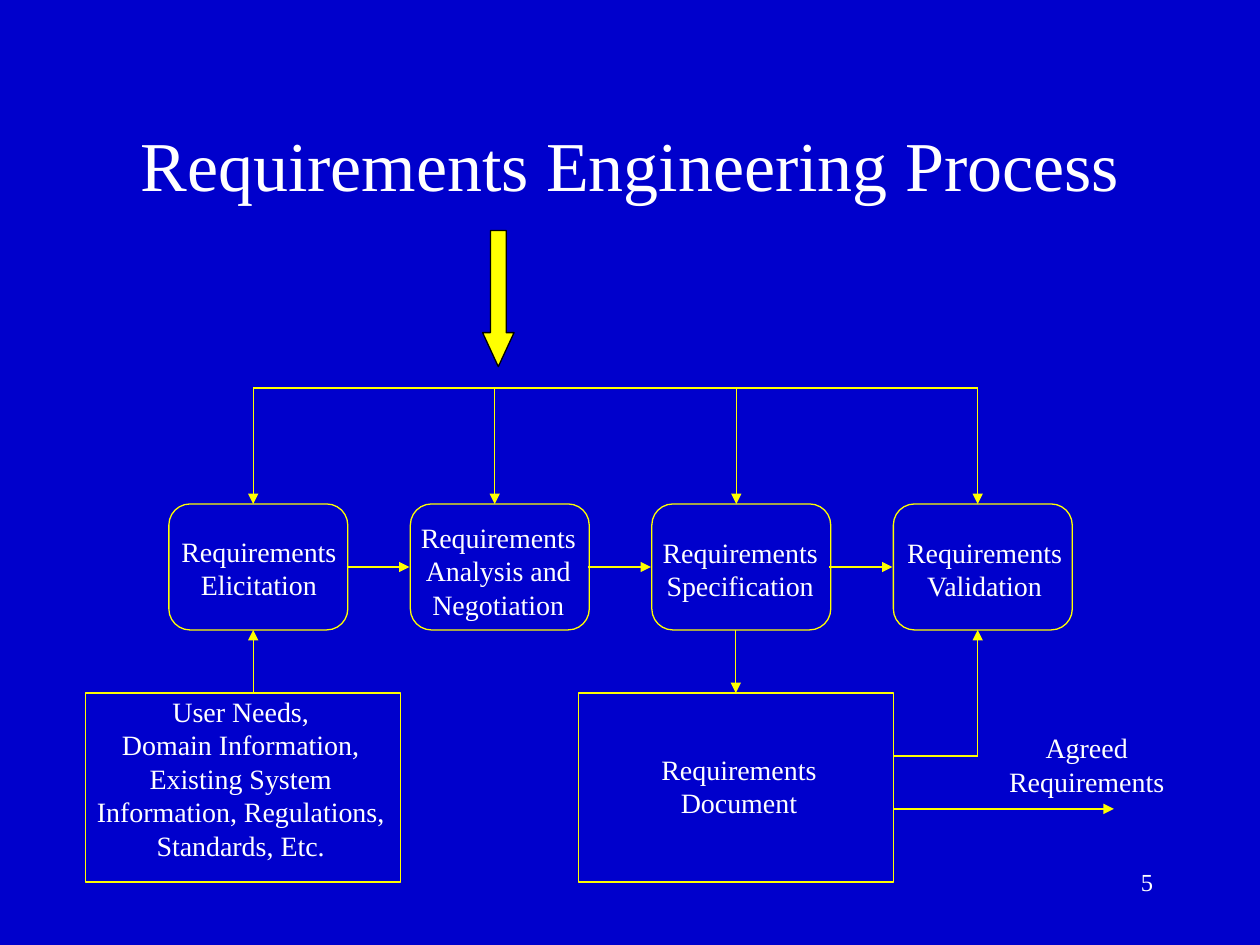
from lxml import etree
from pptx import Presentation
from pptx import util as u
from pptx.dml import color
from pptx.enum import shapes, text
from pptx.oxml import ns

BACKGROUND, WHITE, YELLOW, BLACK = "0000CC", "FFFFFF", "FFFF00", "000000"
FONT = "Times New Roman"
PITCH = (7.76 - 2.01) / 3
STAGES = [
    ("Requirements\nElicitation", (1.34, 4.19, 1.43, 0.64)),
    ("Requirements\nAnalysis and\nNegotiation", (3.24, 4.08, 1.43, 0.9)),
    ("Requirements\nSpecification", (5.16, 4.2, 1.43, 0.64)),
    ("Requirements\nValidation", (7.1, 4.2, 1.43, 0.64)),
]
USER_NEEDS = ("User Needs,\nDomain Information,\nExisting System\n"
              "Information, Regulations,\nStandards, Etc.")


def rgb(value):
    return color.RGBColor.from_string(value)


def inches(box):
    return [u.Inches(length) for length in box]


def write(frame, words, size=16, align=text.PP_ALIGN.CENTER,
          anchor=text.MSO_ANCHOR.TOP, wrap=False):
    frame.word_wrap = wrap
    frame.auto_size = text.MSO_AUTO_SIZE.NONE
    frame.vertical_anchor = anchor
    frame.text = words
    for paragraph in frame.paragraphs:
        paragraph.alignment = align
        paragraph.line_spacing = u.Pt(size * 1.2)
        paragraph.font.size = u.Pt(size)
        paragraph.font.name = FONT
        paragraph.font.color.rgb = rgb(WHITE)


def add_label(slide, box, words, **style):
    write(slide.shapes.add_textbox(*inches(box)).text_frame, words, **style)


def add_outline(slide, kind, box, line=YELLOW, fill=None, adjustments=()):
    shape = slide.shapes.add_shape(kind, *inches(box))
    shape.shadow.inherit = False
    for index, value in enumerate(adjustments):
        shape.adjustments[index] = value
    if fill:
        shape.fill.solid()
        shape.fill.fore_color.rgb = rgb(fill)
    else:
        shape.fill.background()
    shape.line.color.rgb = rgb(line)
    shape.line.width = u.Pt(0.75)


def add_line(slide, start, end, width=0.75, arrow=True):
    connector = slide.shapes.add_connector(
        shapes.MSO_CONNECTOR.STRAIGHT, *inches(start + end))
    connector.line.color.rgb = rgb(YELLOW)
    connector.line.width = u.Pt(width)
    properties = connector._element.spPr
    if arrow:
        outline = properties.find(ns.qn("a:ln"))
        etree.SubElement(outline, ns.qn("a:tailEnd"), type="triangle")
    etree.SubElement(properties, ns.qn("a:effectLst"))


def add_title(slide, box):
    title = slide.shapes.title
    title.left, title.top, title.width, title.height = inches(box)
    write(title.text_frame, "Requirements Engineering Process", size=40,
          anchor=text.MSO_ANCHOR.MIDDLE, wrap=True)


def add_stages(slide, box):
    left, top, width, height = box
    bus_top = top - 0.92
    inlet = left + 0.67
    add_line(slide, (inlet, bus_top), (inlet + 3 * PITCH, bus_top), arrow=False)
    for index, (words, label_box) in enumerate(STAGES):
        x = left + index * PITCH
        add_outline(slide, shapes.MSO_SHAPE.ROUNDED_RECTANGLE,
                    (x, top, width, height), adjustments=[0.167])
        feed = inlet + index * PITCH
        add_line(slide, (feed, bus_top), (feed, top))
        add_label(slide, label_box, words)
        if index < len(STAGES) - 1:
            middle = top + height / 2
            add_line(slide, (x + 1.41, middle), (x + 1.91, middle), width=1)


def add_user_needs(slide, box):
    left, top, width, height = box
    add_outline(slide, shapes.MSO_SHAPE.RECTANGLE, box)
    add_label(slide, (left - 0.01, top - 0.04, 2.48, 1.44), USER_NEEDS)
    add_line(slide, (2.01, top), (2.01, top - 0.5))


def add_document(slide, box):
    left, top, width, height = box
    right, center = left + width, left + width / 2
    validation = 7.76
    add_outline(slide, shapes.MSO_SHAPE.RECTANGLE, box)
    add_label(slide, (5.15, top + 0.42, 1.43, 0.64), "Requirements\nDocument")
    add_line(slide, (center, top - 0.5), (center, top))
    add_line(slide, (right, top + 0.5), (validation, top + 0.5), arrow=False)
    add_line(slide, (validation, top + 0.5), (validation, top - 0.5))
    add_line(slide, (right, top + 0.92), (right + 1.75, top + 0.92))
    add_label(slide, (7.91, top + 0.25, 1.43, 0.64), "Agreed\nRequirements")


def main():
    deck = Presentation()
    deck.slide_width, deck.slide_height = u.Inches(10), u.Inches(7.5)
    slide = deck.slides.add_slide(deck.slide_layouts[5])
    slide.background.fill.solid()
    slide.background.fill.fore_color.rgb = rgb(BACKGROUND)
    add_title(slide, (0.75, 0.67, 8.5, 1.25))
    add_stages(slide, (1.34, 4, 1.42, 1))
    add_user_needs(slide, (0.68, 5.5, 2.5, 1.5))
    add_document(slide, (4.59, 5.5, 2.5, 1.5))
    add_outline(slide, shapes.MSO_SHAPE.DOWN_ARROW, (3.83, 1.83, 0.25, 1.08),
                line=BLACK, fill=YELLOW, adjustments=[0.5, 1.08])
    add_label(slide, (7.17, 6.83, 2.08, 0.5), "5", size=14,
              align=text.PP_ALIGN.RIGHT, wrap=True)
    deck.save("out.pptx")


if __name__ == "__main__":
    main()
